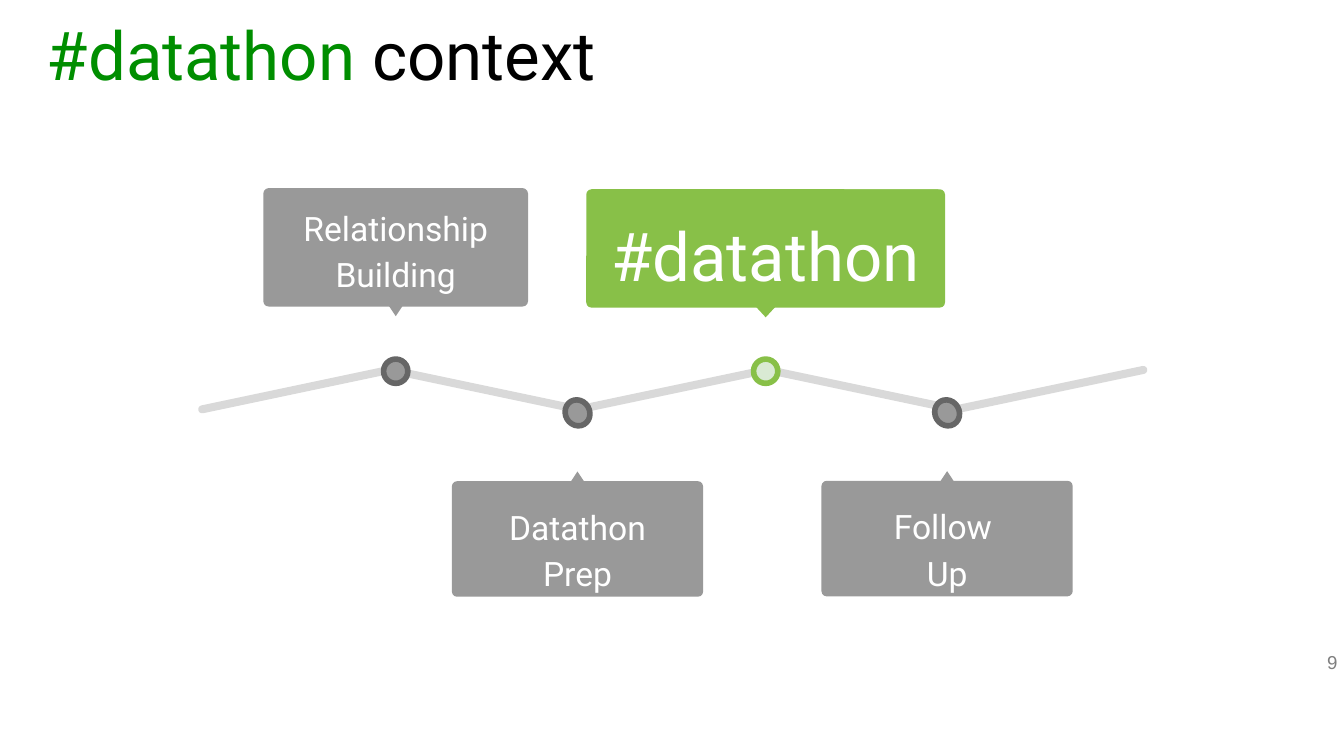
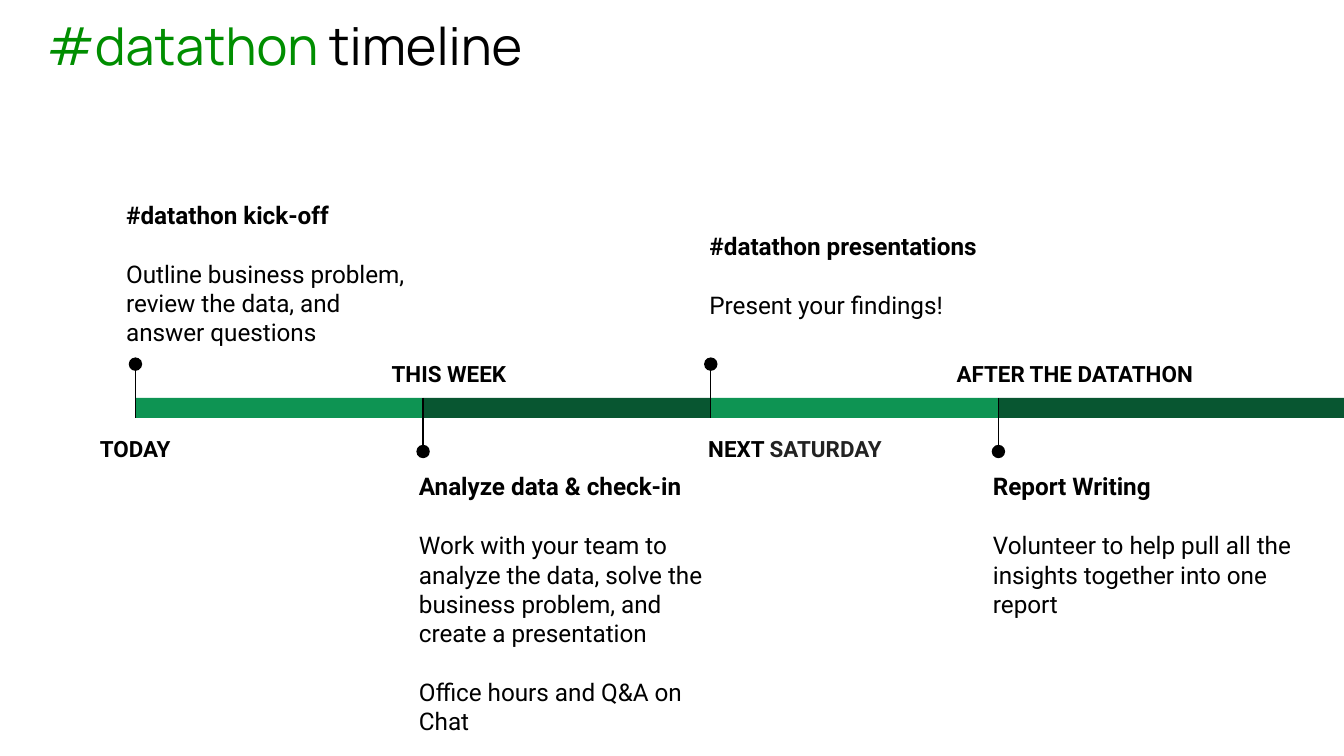
from dataclasses import dataclass
from typing import NamedTuple, Optional

from lxml.etree import SubElement
from pptx import Presentation
from pptx.dml.color import RGBColor
from pptx.enum.shapes import MSO_CONNECTOR as Connector, MSO_SHAPE as Preset
from pptx.enum.text import MSO_ANCHOR as Anchor, PP_ALIGN as Align
from pptx.oxml.ns import qn
from pptx.util import Pt

BLACK = RGBColor(0x00, 0x00, 0x00)
WHITE = RGBColor(0xFF, 0xFF, 0xFF)
CHARCOAL = RGBColor(0x22, 0x22, 0x22)
DARK_GRAY = RGBColor(0x66, 0x66, 0x66)
PAGE_GRAY = RGBColor(0x7F, 0x7F, 0x7F)
GRAY = RGBColor(0x99, 0x99, 0x99)
PATH_GRAY = RGBColor(0xD9, 0xD9, 0xD9)
HASHTAG_GREEN = RGBColor(0x00, 0x8E, 0x00)
LIME = RGBColor(0x88, 0xC0, 0x48)
PALE_GREEN = RGBColor(0xD9, 0xEA, 0xD3)
BAR_GREEN = RGBColor(0x0E, 0x94, 0x53)
BAR_DARK = RGBColor(0x08, 0x56, 0x31)

SLIDE_WIDTH, SLIDE_HEIGHT = 720, 405
INSET = 7.2
SEGMENT_LEFT, SEGMENT_STEP, SEGMENT_TILT = 105.1, 101, 11.9
BAR_LEFT, BAR_STEP, BAR_TOP, BAR_HEIGHT = 72.6, 154.1, 213.1, 10.8
PIN_SIZE, PIN_REACH = 7.2, 18


class Box(NamedTuple):
    left: float
    top: float
    width: float
    height: float


class Style(NamedTuple):
    size: float
    color: RGBColor = BLACK
    bold: bool = False
    font: str = "Roboto"


class Span(NamedTuple):
    text: str
    style: Style


@dataclass
class Stage:
    text: str
    center: float
    card_top: float
    card_width: float
    card_height: float
    pointer_width: float = 7.2
    text_size: float = 18
    above: bool = True
    fill: RGBColor = GRAY
    dot_fill: RGBColor = GRAY
    dot_line: RGBColor = DARK_GRAY


@dataclass
class Milestone:
    period: Span
    period_box: Box
    heading: str
    details: list[str]
    details_box: Box
    above: bool
    period_align: Align = Align.CENTER
    period_tail: Optional[Span] = None


PERIOD = Style(12, bold=True)
HEADING = Style(13, bold=True)
BODY = Style(13)

STAGES = [
    Stage("Relationship Building", 212, 100.8, 141.8, 63.4),
    Stage("Datathon Prep", 309.4, 257.8, 134.6, 61.9, above=False),
    Stage("#datathon", 410.2, 101.4, 192.2, 63.4, pointer_width=10,
          text_size=36, fill=LIME, dot_fill=PALE_GREEN, dot_line=LIME),
    Stage("Follow \vUp", 507.4, 257.6, 134.6, 61.9, above=False),
]

MILESTONES = [
    Milestone(Span("TODAY", PERIOD), Box(38.2, 223.9, 68.4, 29.5),
              "#datathon kick-off",
              ["Outline business problem, review the data, and answer questions"],
              Box(60.5, 100.1, 166.3, 113), above=True),
    Milestone(Span("THIS WEEK", PERIOD), Box(198, 183.6, 85, 29.5),
              "Analyze data & check-in",
              ["Work with your team to analyze the data, solve the business "
               "problem, and create a presentation",
               "Office hours and Q&A on Chat"],
              Box(217.4, 245.5, 177.1, 152.6), above=False),
    Milestone(Span("NEXT ", PERIOD), Box(355.7, 223.9, 140.4, 29.5),
              "#datathon presentations", ["Present your findings!"],
              Box(373, 116.6, 177.1, 74.2), above=True,
              period_tail=Span("SATURDAY", PERIOD._replace(color=CHARCOAL))),
    Milestone(Span("AFTER THE DATATHON", PERIOD), Box(505.4, 183.6, 202.3, 29.5),
              "Report Writing",
              ["Volunteer to help pull all the insights together into one report"],
              Box(524.9, 245.5, 177.1, 105.1), above=False,
              period_align=Align.LEFT),
]


def to_points(box: Box) -> list[Pt]:
    return [Pt(length) for length in box]


def add_solid(slide, preset: Preset, box: Box, fill: RGBColor, rotation: float = 0,
              corner: Optional[float] = None, outline: Optional[RGBColor] = None):
    solid = slide.shapes.add_shape(preset, *to_points(box))
    solid.shadow.inherit = False
    solid.fill.solid()
    solid.fill.fore_color.rgb = fill
    solid.rotation = rotation
    if corner is not None:
        solid.adjustments[0] = corner
    if outline is None:
        solid.line.fill.background()
    else:
        solid.line.color.rgb = outline
        solid.line.width = Pt(3)
    return solid


def prepare_frame(holder, anchor: Anchor = Anchor.TOP):
    frame = holder.text_frame
    frame.word_wrap = True
    frame.vertical_anchor = anchor
    frame.margin_left = frame.margin_right = Pt(INSET)
    frame.margin_top = frame.margin_bottom = Pt(INSET)
    return frame


def add_text_frame(slide, box: Box, anchor: Anchor = Anchor.TOP):
    return prepare_frame(slide.shapes.add_textbox(*to_points(box)), anchor)


def style_run(run, style: Style) -> None:
    run.font.name = style.font
    run.font.size = Pt(style.size)
    run.font.bold = style.bold
    run.font.color.rgb = style.color


def write(paragraph, span: Span, tail: Optional[Span] = None,
          align: Align = Align.LEFT, line_spacing: float = 1.0) -> None:
    paragraph.text = span.text
    paragraph.alignment = align
    paragraph.line_spacing = line_spacing
    for run in paragraph.runs:
        style_run(run, span.style)
    if tail:
        tail_run = paragraph.add_run()
        tail_run.text = tail.text
        style_run(tail_run, tail.style)


def add_title(slide, topic: str, size: float, font: str) -> None:
    frame = add_text_frame(slide, Box(18, 0, 396, 59.8))
    write(frame.paragraphs[0],
          Span("#datathon", Style(size, HASHTAG_GREEN, font=font)),
          Span(f" {topic}", Style(size, font=font)))


def add_page_number(slide, number: int) -> None:
    frame = add_text_frame(slide, Box(680.4, 339.1, 43.2, 31), Anchor.MIDDLE)
    write(frame.paragraphs[0], Span(str(number), Style(10, PAGE_GRAY, font="Arial")),
          align=Align.RIGHT)


def add_zigzag(slide, count: int) -> None:
    for index in range(count):
        tilt = SEGMENT_TILT if index % 2 else -SEGMENT_TILT
        segment = Box(SEGMENT_LEFT + index * SEGMENT_STEP, 206.6, 106.6, 4.3)
        add_solid(slide, Preset.ROUNDED_RECTANGLE, segment, PATH_GRAY, tilt, 0.5)


def add_stage(slide, stage: Stage) -> None:
    card = Box(stage.center - stage.card_width / 2, stage.card_top,
               stage.card_width, stage.card_height)
    add_solid(slide, Preset.ROUNDED_RECTANGLE, card, stage.fill, corner=0.045)

    label_drop = 0 if stage.above else 3.2
    label_box = Box(card.left + 3.6, card.top + label_drop,
                    card.width - 7.2, card.height - 3 - 2 * label_drop / 2)
    label = add_solid(slide, Preset.RECTANGLE, label_box, stage.fill)
    write(prepare_frame(label).paragraphs[0],
          Span(stage.text, Style(stage.text_size, WHITE)),
          align=Align.CENTER, line_spacing=1.15)

    pointer_height = 5.4
    pointer_top = (card.top + card.height - 0.2 if stage.above
                   else card.top - pointer_height + 0.2)
    pointer = Box(stage.center - stage.pointer_width / 2, pointer_top,
                  stage.pointer_width, pointer_height)
    add_solid(slide, Preset.ISOSCELES_TRIANGLE, pointer, stage.fill,
              180 if stage.above else 0)

    dot_height = 13 if stage.above else 14.2
    dot_middle = 198.9 if stage.above else 221.2
    dot = Box(stage.center - 6.5, dot_middle - dot_height / 2, 13, dot_height)
    add_solid(slide, Preset.OVAL, dot, stage.dot_fill, -29.8, outline=stage.dot_line)


def add_pin(slide, x: float, above: bool) -> None:
    bar_bottom = BAR_TOP + BAR_HEIGHT
    head, foot = ((BAR_TOP - PIN_REACH, bar_bottom) if above
                  else (bar_bottom + PIN_REACH, BAR_TOP))
    stem = slide.shapes.add_connector(Connector.STRAIGHT, Pt(x), Pt(head), Pt(x), Pt(foot))
    stem.line.color.rgb = BLACK
    stem.line.width = Pt(0.75)
    SubElement(stem._element.spPr, qn("a:effectLst"))
    knob = Box(x - PIN_SIZE / 2, head - PIN_SIZE / 2, PIN_SIZE, PIN_SIZE)
    add_solid(slide, Preset.OVAL, knob, BLACK)


def add_milestone(slide, index: int, milestone: Milestone) -> None:
    left = BAR_LEFT + index * BAR_STEP
    is_last = index == len(MILESTONES) - 1
    width = SLIDE_WIDTH - left if is_last else BAR_STEP
    add_solid(slide, Preset.RECTANGLE, Box(left, BAR_TOP, width, BAR_HEIGHT),
              BAR_DARK if index % 2 else BAR_GREEN)
    add_pin(slide, left, milestone.above)

    period = add_text_frame(slide, milestone.period_box)
    write(period.paragraphs[0], milestone.period, milestone.period_tail,
          milestone.period_align, 1.15)

    details = add_text_frame(slide, milestone.details_box)
    write(details.paragraphs[0], Span(milestone.heading, HEADING))
    for detail in milestone.details:
        paragraph = details.add_paragraph()
        write(paragraph, Span(detail, BODY))
        paragraph.space_before = Pt(16)


def build_context(slide) -> None:
    add_zigzag(slide, len(STAGES) + 1)
    for stage in STAGES:
        add_stage(slide, stage)
    add_title(slide, "context", 36, "Roboto")
    add_page_number(slide, 9)


def build_timeline(slide) -> None:
    add_title(slide, "timeline", 28, "Manrope")
    for index, milestone in enumerate(MILESTONES):
        add_milestone(slide, index, milestone)


def main() -> None:
    deck = Presentation()
    deck.slide_width, deck.slide_height = Pt(SLIDE_WIDTH), Pt(SLIDE_HEIGHT)
    blank = deck.slide_layouts[6]
    for build in (build_context, build_timeline):
        build(deck.slides.add_slide(blank))
    deck.save("out.pptx")


if __name__ == "__main__":
    main()
